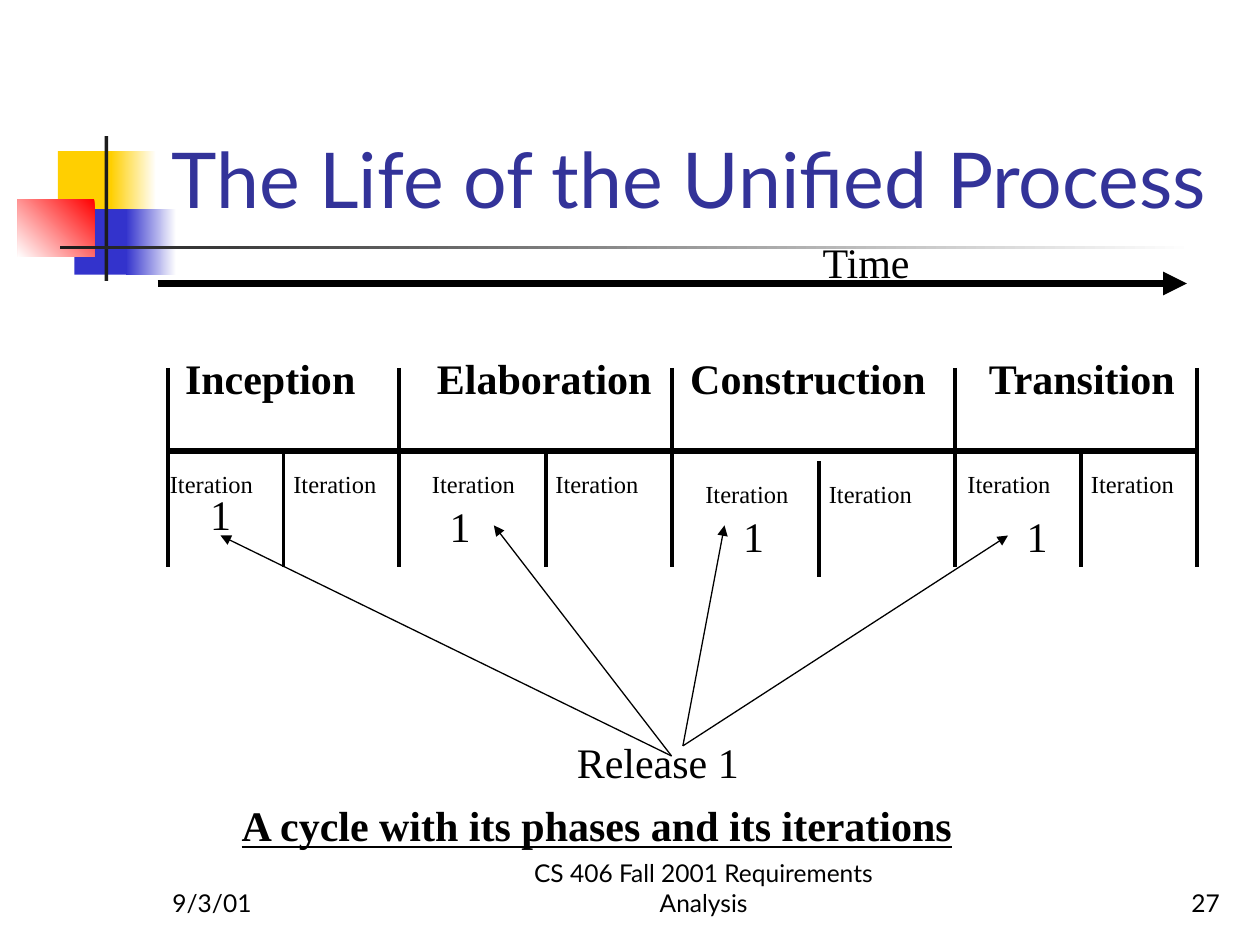
from lxml.etree import SubElement
from pptx import Presentation
from pptx.dml.color import RGBColor
from pptx.enum.shapes import MSO_CONNECTOR, MSO_SHAPE
from pptx.enum.text import MSO_ANCHOR, MSO_AUTO_SIZE, PP_ALIGN
from pptx.oxml.ns import qn
from pptx.util import Inches, Pt

SERIF = "Times New Roman"
SANS = "Lato"
PHASE_TOP, ITER_TOP, GRID_BOTTOM = 2.92, 3.58, 4.5


def rgb(value):
    """Return the colour for a hex string."""
    return RGBColor.from_string(value)


def write(shape, text, size=24, font=SERIF, color="000000", bold=False,
          underline=False, align=PP_ALIGN.LEFT, anchor=MSO_ANCHOR.TOP, wrap=False):
    """Put one formatted paragraph into a shape."""
    tf = shape.text_frame
    tf.auto_size = MSO_AUTO_SIZE.NONE
    tf.word_wrap = wrap
    tf.vertical_anchor = anchor
    p = tf.paragraphs[0]
    p.alignment = align
    r = p.add_run()
    r.text = text
    r.font.size = Pt(size)
    r.font.name = font
    r.font.bold = bold
    r.font.underline = underline
    r.font.color.rgb = rgb(color)


def add_text(s, text, x, y, w, h=0.5, **fmt):
    """Add a text box."""
    box = s.shapes.add_textbox(Inches(x), Inches(y), Inches(w), Inches(h))
    write(box, text, **fmt)


def add_line(s, x1, y1, x2, y2, width=2.25, arrow=False):
    """Add a straight black line, with an arrowhead at its end if asked."""
    line = s.shapes.add_connector(MSO_CONNECTOR.STRAIGHT, Inches(x1), Inches(y1),
                                  Inches(x2), Inches(y2))
    line.line.color.rgb = rgb("000000")
    line.line.width = Pt(width)
    sp_pr = line._element.spPr
    if arrow:
        SubElement(sp_pr.find(qn("a:ln")), qn("a:tailEnd"), type="triangle")
    SubElement(sp_pr, qn("a:effectLst"))


def add_block(s, x, y, w, h, start, end=None, angle=180):
    """Add a borderless rectangle, plain or with a two-colour gradient."""
    sp = s.shapes.add_shape(MSO_SHAPE.RECTANGLE, Inches(x), Inches(y),
                            Inches(w), Inches(h))
    sp.shadow.inherit = False
    sp.line.fill.background()
    if end is None:
        sp.fill.solid()
        sp.fill.fore_color.rgb = rgb(start)
        return
    sp.fill.gradient()
    sp.fill.gradient_angle = angle
    for stop, color in zip(sp.fill.gradient_stops, (start, end)):
        stop.color.rgb = rgb(color)


def add_decoration(s):
    """Draw the coloured squares and the bars beside the title."""
    add_block(s, 0.46, 1.2, 0.48, 0.52, "FFCF01")
    add_block(s, 0.88, 1.2, 0.36, 0.52, "FFFFFF", "FFCF01")
    add_block(s, 0.59, 1.66, 0.46, 0.52, "3333CC")
    add_block(s, 1, 1.66, 0.4, 0.52, "FFFFFF", "3333CC")
    add_block(s, 0.14, 1.58, 0.61, 0.46, "FF0000", "FFFFFF", angle=225)
    add_block(s, 0.83, 1.08, 0.03, 1.15, "1C1C1C")
    add_block(s, 0.48, 1.95, 9, 0.03, "FFFFFF", "1C1C1C")


def add_title(s, text):
    """Place and fill the title placeholder."""
    title = s.shapes.title
    title.left, title.top = Inches(1.26), Inches(0.23)
    title.width, title.height = Inches(8.52), Inches(1.6)
    write(title, text, size=44, font=SANS, color="333399",
          anchor=MSO_ANCHOR.BOTTOM, wrap=True)


def add_phase(s, name, x, w, iter_x, split_x, drop, number_x, number_y):
    """Add a phase heading with its two iterations and the divider between them."""
    add_text(s, name, x, 2.75, w, bold=True)
    for left in (iter_x, iter_x + 0.98):
        add_text(s, "Iteration", left, 3.67 + drop, 0.93, 0.34, size=14, wrap=True)
    add_line(s, split_x, ITER_TOP + drop, split_x, GRID_BOTTOM + drop)
    add_text(s, "1", number_x, number_y, 0.36)


def add_footer(s):
    """Add the date, course name and slide number."""
    for text, x, w, align in (("9/3/01", 1.27, 2.08, PP_ALIGN.LEFT),
                              ("CS 406 Fall 2001 Requirements Analysis", 4, 3.17,
                               PP_ALIGN.CENTER),
                              ("27", 7.7, 2.08, PP_ALIGN.RIGHT)):
        add_text(s, text, x, 6.83, w, size=14, font=SANS, align=align,
                 anchor=MSO_ANCHOR.BOTTOM, wrap=True)


def main():
    """Build the slide and save it."""
    prs = Presentation()
    prs.slide_width, prs.slide_height = Inches(10), Inches(7.5)
    s = prs.slides.add_slide(prs.slide_layouts[5])
    add_decoration(s)
    add_title(s, "The Life of the Unified Process")

    add_line(s, 1.33, ITER_TOP, 9.5, ITER_TOP, width=3)
    for x in (1.33, 3.17, 5.33, 7.58, 9.5):
        add_line(s, x, PHASE_TOP, x, GRID_BOTTOM)
    for phase in (("Inception", 1.37, 1.72, 1.25, 2.25, 0, 1.57, 3.83),
                  ("Elaboration", 3.37, 2.07, 3.33, 4.33, 0, 3.47, 3.92),
                  ("Construction", 5.38, 2.23, 5.5, 6.5, 0.08, 5.8, 4),
                  ("Transition", 7.75, 1.78, 7.58, 8.58, 0, 8.05, 4)):
        add_phase(s, *phase)

    add_text(s, "Release 1", 4.48, 5.8, 1.48)
    for ends in ((5.33, 6, 1.75, 4.25), (5.33, 6, 3.92, 4.17),
                 (5.42, 5.92, 5.75, 4.17), (5.42, 5.92, 8, 4.25)):
        add_line(s, *ends, width=0.75, arrow=True)

    add_line(s, 1.25, 2.25, 9.42, 2.25, width=4.5, arrow=True)
    add_text(s, "Time", 6.43, 1.83, 0.9)
    add_text(s, "A cycle with its phases and its iterations", 1.82, 6.3, 5.86,
             bold=True, underline=True)
    add_footer(s)
    prs.save("out.pptx")


if __name__ == "__main__":
    main()
